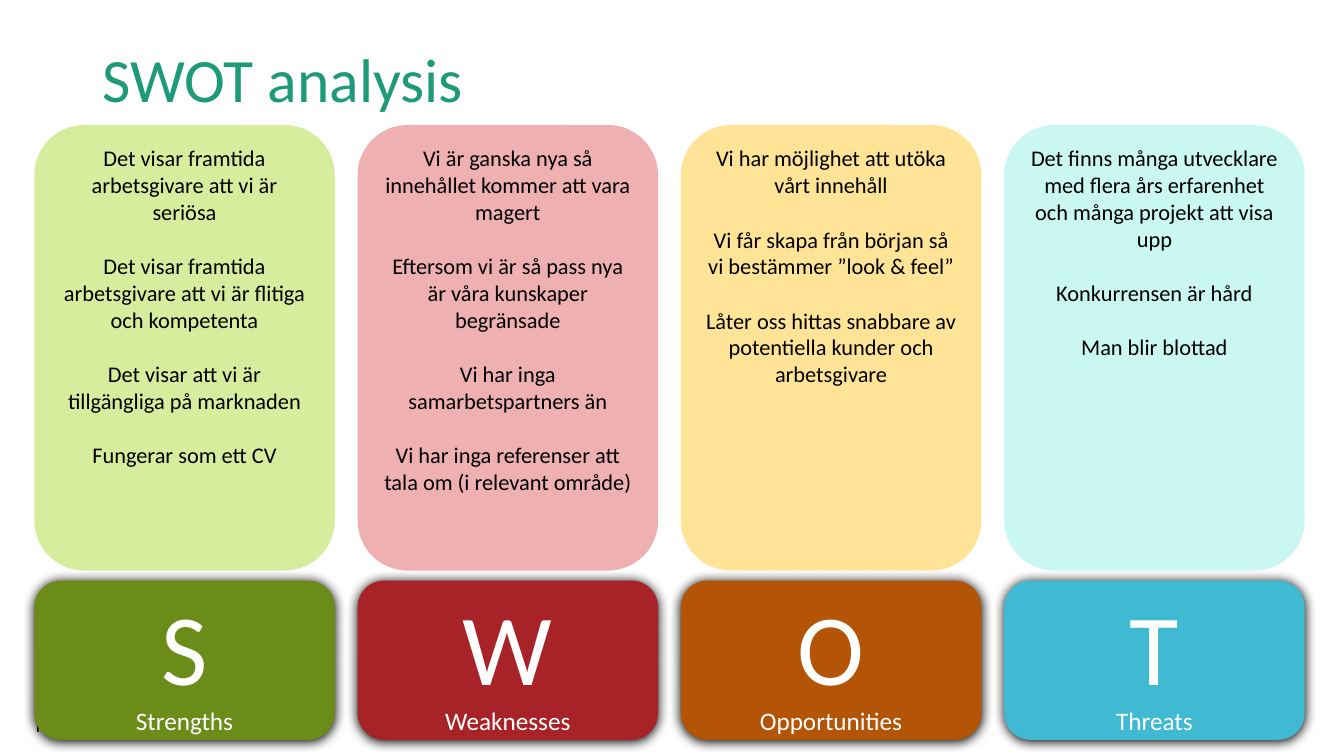
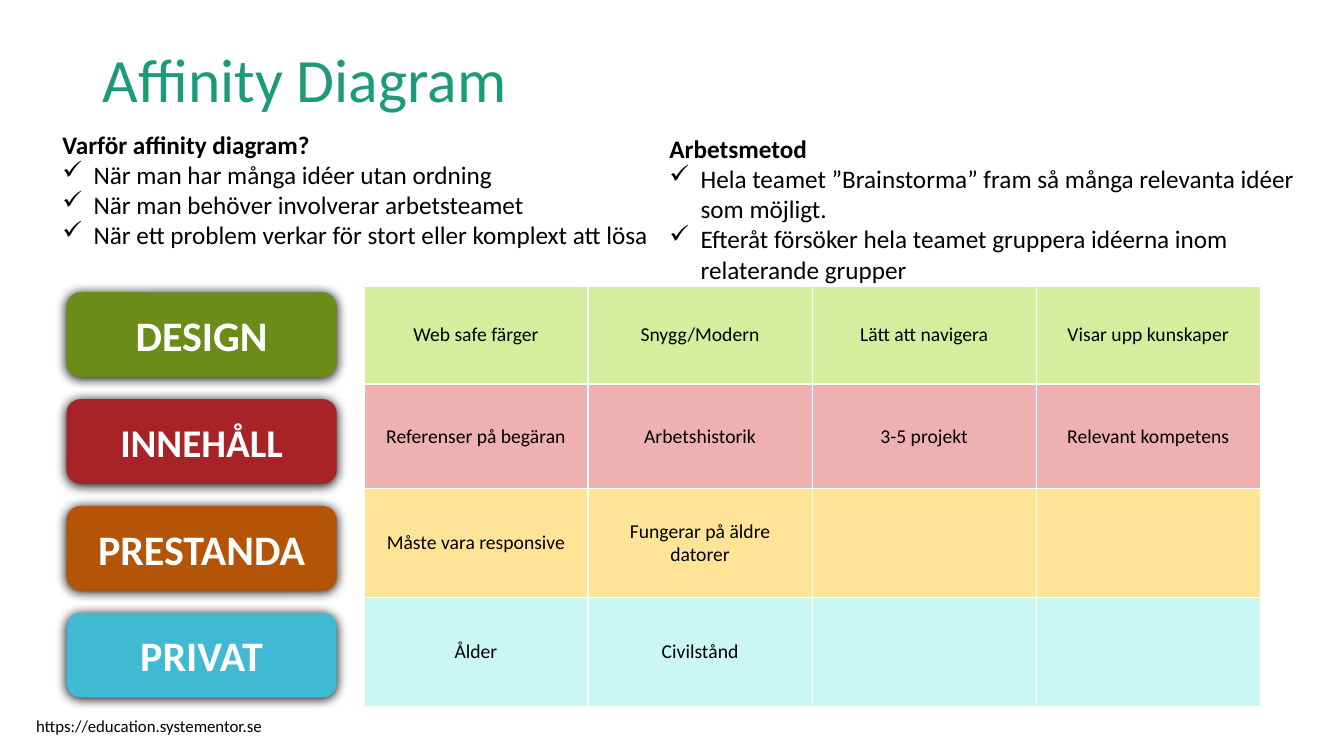
"""Build a SWOT analysis slide and an affinity diagram slide."""
from dataclasses import dataclass

from lxml.etree import SubElement
from pptx import Presentation
from pptx.dml.color import RGBColor
from pptx.enum.shapes import MSO_SHAPE
from pptx.enum.text import MSO_ANCHOR, PP_ALIGN
from pptx.oxml.ns import qn
from pptx.presentation import Presentation as Deck
from pptx.shapes.autoshape import Shape
from pptx.slide import Slide
from pptx.table import _Cell as Cell
from pptx.text.text import TextFrame, _Paragraph as Paragraph
from pptx.util import Inches, Pt

FONT = "Calibri"
BLACK = RGBColor(0x00, 0x00, 0x00)
WHITE = RGBColor(0xFF, 0xFF, 0xFF)
TITLE_GREEN = RGBColor(0x1D, 0x9A, 0x78)
FOOTER = "https://education.systementor.se"
BULLET_INDENT = 0.31
BLANK_LAYOUT = 6


@dataclass(frozen=True)
class Box:
    """A rectangle in inches."""
    left: float
    top: float
    width: float
    height: float

    def stepped(self, across: float = 0, down: float = 0) -> "Box":
        """Return the same box moved by a grid step."""
        return Box(self.left + across, self.top + down, self.width, self.height)

    def lengths(self) -> tuple[int, ...]:
        """Return the four lengths in slide units."""
        return tuple(Inches(value) for value in (self.left, self.top, self.width, self.height))


@dataclass(frozen=True)
class Tone:
    """A dark label colour and its light companion."""
    dark: RGBColor
    light: RGBColor


@dataclass(frozen=True)
class SwotColumn:
    """One quarter of the SWOT analysis."""
    name: str
    points: tuple[str, ...]


@dataclass(frozen=True)
class AffinityGroup:
    """One row of grouped ideas."""
    name: str
    height: float
    ideas: tuple[str, ...]
    size: float = 30


@dataclass(frozen=True)
class Checklist:
    """A heading followed by ticked points."""
    box: Box
    heading: str
    points: tuple[str, ...]


TONES = (
    Tone(RGBColor(0x6C, 0x8C, 0x1A), RGBColor(0xD7, 0xED, 0x9E)),
    Tone(RGBColor(0xA7, 0x23, 0x27), RGBColor(0xEE, 0xB0, 0xB1)),
    Tone(RGBColor(0xB3, 0x54, 0x06), RGBColor(0xFF, 0xE4, 0x97)),
    Tone(RGBColor(0x40, 0xBA, 0xD2), RGBColor(0xCA, 0xF7, 0xF1)),
)
TITLE_BOX = Box(0.92, 0.09, 11.5, 1.45)
FOOTER_BOX = Box(0.26, 7.05, 3.9, 0.3)
PANEL_BOX = Box(0.34, 1.24, 2.98, 4.42)
LETTER_BOX = Box(0.34, 5.76, 2.98, 1.58)
COLUMN_STEP = (9.96 - PANEL_BOX.left) / (len(TONES) - 1)
GROUP_BOX = Box(0.66, 2.9, 2.68, 0.84)
GROUP_STEP = 1.06
TABLE_BOX = Box(3.61, 2.84, 8.89, 4.16)

SWOT = (
    SwotColumn("Strengths", (
        "Det visar framtida arbetsgivare att vi är seriösa",
        "Det visar framtida arbetsgivare att vi är flitiga och kompetenta",
        "Det visar att vi är tillgängliga på marknaden",
        "Fungerar som ett CV")),
    SwotColumn("Weaknesses", (
        "Vi är ganska nya så innehållet kommer att vara magert",
        "Eftersom vi är så pass nya är våra kunskaper begränsade",
        "Vi har inga samarbetspartners än",
        "Vi har inga referenser att tala om (i relevant område)")),
    SwotColumn("Opportunities", (
        "Vi har möjlighet att utöka vårt innehåll",
        "Vi får skapa från början så vi bestämmer ”look & feel”",
        "Låter oss hittas snabbare av potentiella kunder och arbetsgivare")),
    SwotColumn("Threats", (
        "Det finns många utvecklare med flera års erfarenhet och många projekt att visa upp",
        "Konkurrensen är hård",
        "Man blir blottad")),
)
GROUPS = (
    AffinityGroup("DESIGN", 0.97, (
        "Web safe färger", "Snygg/Modern", "Lätt att navigera", "Visar upp kunskaper")),
    AffinityGroup("INNEHÅLL", 1.04, (
        "Referenser på begäran", "Arbetshistorik", "3-5 projekt", "Relevant kompetens"), 28),
    AffinityGroup("PRESTANDA", 1.08, ("Måste vara responsive", "Fungerar på äldre datorer")),
    AffinityGroup("PRIVAT", 1.08, ("Ålder", "Civilstånd")),
)
CHECKLISTS = (
    Checklist(Box(0.52, 1.23, 6.28, 1.31), "Varför affinity diagram?", (
        "När man har många idéer utan ordning",
        "När man behöver involverar arbetsteamet",
        "När ett problem verkar för stort eller komplext att lösa")),
    Checklist(Box(6.54, 1.27, 6.59, 1.62), "Arbetsmetod", (
        "Hela teamet ”Brainstorma” fram så många relevanta idéer som möjligt.",
        "Efteråt försöker hela teamet gruppera idéerna inom relaterande grupper")),
)


def add_tick(paragraph: Paragraph) -> None:
    """Give a paragraph a hanging tick mark."""
    properties = paragraph._p.get_or_add_pPr()
    properties.set("marL", str(Inches(BULLET_INDENT)))
    properties.set("indent", str(-Inches(BULLET_INDENT)))
    SubElement(properties, qn("a:buChar"), char="✓")


def write_text(frame: TextFrame, text: str, *, size: float, color: RGBColor = BLACK,
               bold: bool = False, align: PP_ALIGN = PP_ALIGN.LEFT, ticked: bool = False,
               space_before: float = 0, line_spacing: float = 1.0) -> None:
    """Add one formatted paragraph, using the empty first one when available."""
    paragraph = frame.add_paragraph() if frame.text else frame.paragraphs[0]
    paragraph.alignment = align
    paragraph.line_spacing = line_spacing
    paragraph.space_before = Pt(space_before)
    if ticked:
        add_tick(paragraph)
    run = paragraph.add_run()
    run.text = text
    run.font.name = FONT
    run.font.size = Pt(size)
    run.font.bold = bold
    run.font.color.rgb = color


def add_text_frame(slide: Slide, box: Box, anchor: MSO_ANCHOR = MSO_ANCHOR.TOP) -> TextFrame:
    """Add a wrapping text box and return its frame."""
    frame = slide.shapes.add_textbox(*box.lengths()).text_frame
    frame.word_wrap = True
    frame.vertical_anchor = anchor
    return frame


def add_card(slide: Slide, box: Box, fill: RGBColor, anchor: MSO_ANCHOR) -> Shape:
    """Add a flat rounded card."""
    shape = slide.shapes.add_shape(MSO_SHAPE.ROUNDED_RECTANGLE, *box.lengths())
    shape.shadow.inherit = False
    shape.fill.solid()
    shape.fill.fore_color.rgb = fill
    shape.line.fill.background()
    shape.text_frame.word_wrap = True
    shape.text_frame.vertical_anchor = anchor
    return shape


def add_label(slide: Slide, box: Box, fill: RGBColor) -> TextFrame:
    """Add a dark rounded label with a soft shadow and return its frame."""
    shape = add_card(slide, box, fill, MSO_ANCHOR.MIDDLE)
    effects = shape._element.spPr.find(qn("a:effectLst"))
    shadow = SubElement(effects, qn("a:outerShdw"), blurRad=str(Pt(8.5)), dist=str(Pt(1)),
                        dir="5400000", algn="ctr", rotWithShape="0")
    SubElement(shadow, qn("a:srgbClr"), val=str(BLACK))
    return shape.text_frame


def add_base_slide(presentation: Deck, title: str) -> Slide:
    """Add a blank slide with the shared footer and title."""
    slide = presentation.slides.add_slide(presentation.slide_layouts[BLANK_LAYOUT])
    write_text(add_text_frame(slide, FOOTER_BOX), FOOTER, size=12)
    write_text(add_text_frame(slide, TITLE_BOX, MSO_ANCHOR.MIDDLE), title,
               size=44, color=TITLE_GREEN, line_spacing=0.9)
    return slide


def style_cell(cell: Cell, fill: RGBColor) -> None:
    """Give a cell white borders and a plain fill."""
    properties = cell._tc.get_or_add_tcPr()
    for side in ("lnL", "lnR", "lnT", "lnB"):
        border = SubElement(properties, qn(f"a:{side}"), w=str(Pt(1)))
        SubElement(SubElement(border, qn("a:solidFill")), qn("a:srgbClr"), val=str(WHITE))
    cell.fill.solid()
    cell.fill.fore_color.rgb = fill
    cell.vertical_anchor = MSO_ANCHOR.MIDDLE


def add_idea_table(slide: Slide) -> None:
    """Add the table of ideas, one row for each group."""
    column_count = max(len(group.ideas) for group in GROUPS)
    table = slide.shapes.add_table(len(GROUPS), column_count, *TABLE_BOX.lengths()).table
    table.first_row = False
    table.horz_banding = False
    for row_index, (group, tone) in enumerate(zip(GROUPS, TONES)):
        table.rows[row_index].height = Inches(group.height)
        for cell in table.rows[row_index].cells:
            style_cell(cell, tone.light)
        for column_index, idea in enumerate(group.ideas):
            write_text(table.cell(row_index, column_index).text_frame, idea,
                       size=14, align=PP_ALIGN.CENTER)


def build_swot(presentation: Deck) -> None:
    """Build the SWOT slide."""
    slide = add_base_slide(presentation, "SWOT analysis")
    for index, (column, tone) in enumerate(zip(SWOT, TONES)):
        across = index * COLUMN_STEP
        panel = add_card(slide, PANEL_BOX.stepped(across), tone.light, MSO_ANCHOR.TOP)
        for point_index, point in enumerate(column.points):
            write_text(panel.text_frame, point, size=16, align=PP_ALIGN.CENTER,
                       space_before=19.5 if point_index else 0)
        label = add_label(slide, LETTER_BOX.stepped(across), tone.dark)
        for text, size in ((column.name[0], 72), (column.name, 18)):
            write_text(label, text, size=size, color=WHITE, align=PP_ALIGN.CENTER)


def build_affinity(presentation: Deck) -> None:
    """Build the affinity diagram slide."""
    slide = add_base_slide(presentation, "Affinity Diagram")
    for checklist in CHECKLISTS:
        frame = add_text_frame(slide, checklist.box)
        write_text(frame, checklist.heading, size=18, bold=True)
        for point in checklist.points:
            write_text(frame, point, size=18, ticked=True)
    for index, (group, tone) in enumerate(zip(GROUPS, TONES)):
        label = add_label(slide, GROUP_BOX.stepped(down=index * GROUP_STEP), tone.dark)
        write_text(label, group.name, size=group.size, color=WHITE, bold=True,
                   align=PP_ALIGN.CENTER)
    add_idea_table(slide)


def main() -> None:
    """Build and save the presentation."""
    presentation = Presentation()
    presentation.slide_width = Inches(13.33)
    presentation.slide_height = Inches(7.5)
    build_swot(presentation)
    build_affinity(presentation)
    presentation.save("out.pptx")


if __name__ == "__main__":
    main()
